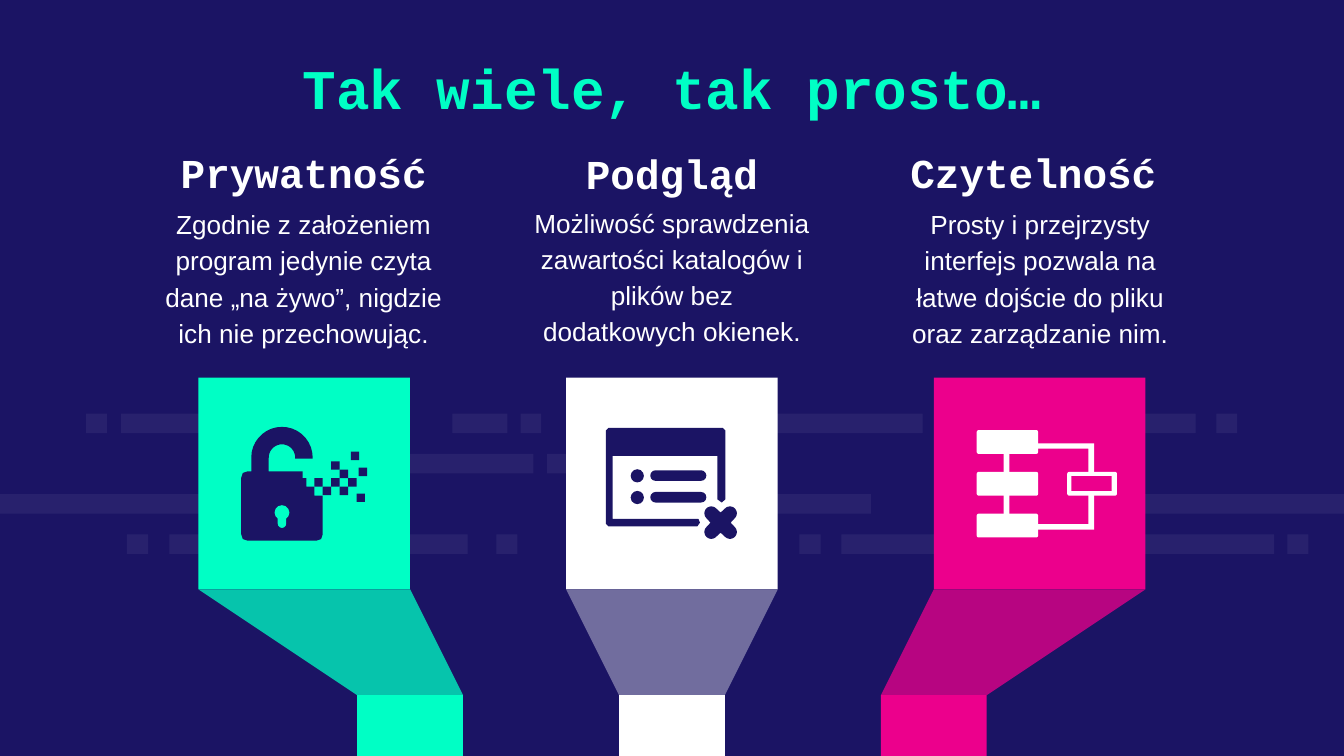
"""Build a slide that presents three program features above funnel-shaped cards."""
from math import cos, radians, sin

from lxml.etree import SubElement
from pptx import Presentation
from pptx.dml.color import RGBColor
from pptx.enum.shapes import MSO_SHAPE
from pptx.enum.text import MSO_ANCHOR, MSO_AUTO_SIZE, PP_ALIGN
from pptx.oxml.ns import qn
from pptx.util import Cm, Pt

NAVY, MINT, WHITE, PINK = "1B1464", "00FFC5", "FFFFFF", "EC008C"
RECT, ROUND, OVAL = MSO_SHAPE.RECTANGLE, MSO_SHAPE.ROUNDED_RECTANGLE, MSO_SHAPE.OVAL


def paint(target, color, alpha=100):
    target.fill.solid()
    target.fill.fore_color.rgb = RGBColor.from_string(color)
    if alpha < 100:
        tone = target.fill._xPr.find(f"{qn('a:solidFill')}/{qn('a:srgbClr')}")
        SubElement(tone, qn("a:alpha")).set("val", str(alpha * 1000))


def write(holder, text, *, box, size, font="Courier New", color=WHITE, bold=True,
          anchor=MSO_ANCHOR.TOP, top=0.25, bottom=0.25, spacing=1.0):
    holder.left, holder.top, holder.width, holder.height = map(Cm, box)
    frame = holder.text_frame
    frame.word_wrap = True
    frame.auto_size = MSO_AUTO_SIZE.NONE
    frame.vertical_anchor = anchor
    frame.margin_left = frame.margin_right = Cm(0.25)
    frame.margin_top, frame.margin_bottom = Cm(top), Cm(bottom)
    paragraph = frame.paragraphs[0]
    paragraph.alignment = PP_ALIGN.CENTER
    paragraph.line_spacing = spacing
    run = paragraph.add_run()
    run.text = text
    run.font.size, run.font.name, run.font.bold = Pt(size), font, bold
    paint(run.font, color)


prs = Presentation()
prs.slide_width, prs.slide_height = Cm(25.4), Cm(14.29)
slide = prs.slides.add_slide(prs.slide_layouts[5])
paint(slide.background, NAVY)

pieces = []

band_rows = [
    [(1.63, 0.39), (2.29, 3.71), (8.55, 1.04), (9.84, 0.39), (14.24, 3.2), (19.4, 3.2), (22.99, 0.39)],
    [(7.59, 2.49), (10.34, 1.02)],
    [(0, 3.76), (12.7, 3.76), (21.64, 3.76)],
    [(2.4, 0.4), (3.2, 5.64), (9.38, 0.4), (15.11, 0.4), (15.9, 8.18), (24.33, 0.4)],
]
for row, bands in enumerate(band_rows):
    for left, width in bands:
        pieces.append((RECT, (left, 7.82 + 0.76 * row, width, 0.37), WHITE, 6, None))

funnel_tints = [
    (MINT, [(MINT, 100), (NAVY, 25)]),
    (WHITE, [(WHITE, 38)]),
    (PINK, [(PINK, 100), (NAVY, 25)]),
]
for column, (color, tints) in enumerate(funnel_tints):
    card, stem = 3.75 + 6.95 * column, 6.75 + 4.95 * column
    funnel = [(card, 11.14), (card + 4, 11.14), (stem + 2, 13.14), (stem, 13.14)]
    for tint, alpha in tints:
        pieces.append((None, funnel, tint, alpha, None))
    pieces.append((RECT, (stem, 13.14, 2, 1.15), color, 100, None))
    pieces.append((RECT, (card, 7.14, 4, 4), color, 100, None))

turns = [radians(degrees) for degrees in range(180, -1, -10)]
shackle_outer = [(5.33 + 0.58 * cos(t), 8.65 - 0.58 * sin(t)) for t in turns]
shackle_inner = [(5.33 + 0.25 * cos(t), 8.65 - 0.25 * sin(t)) for t in reversed(turns)]
padlock = [
    (4.75, 8.91), *shackle_outer, (5.91, 8.67), (5.58, 8.67), *shackle_inner, (5.08, 8.91),
    (5.72, 8.91), (5.72, 9.04), (5.79, 9.04), (5.79, 9.2), (5.94, 9.2), (5.94, 9.37),
    (6.1, 9.37), (6.1, 10.1), (6.07, 10.19), (5.98, 10.22), (4.68, 10.22), (4.59, 10.19),
    (4.56, 10.1), (4.56, 9.03), (4.59, 8.94), (4.68, 8.91),
]
pieces += [
    (None, padlock, NAVY, 100, None),
    (OVAL, (5.19, 9.55, 0.28, 0.28), MINT, 100, None),
    (ROUND, (5.25, 9.7, 0.16, 0.28), MINT, 100, 0.5),
]
for left, top in [(6.1, 9.2), (6.42, 8.88), (6.26, 9.04), (6.26, 8.72), (5.94, 9.04),
                  (6.42, 9.2), (6.74, 9.33), (6.58, 9.04), (6.78, 8.84), (6.63, 8.54)]:
    pieces.append((RECT, (left, top, 0.16, 0.16), NAVY, 100, None))

window = [
    (11.45, 8.14), (11.5, 8.09), (13.66, 8.09), (13.71, 8.14), (13.71, 9.44), (13.64, 9.5),
    (13.56, 9.44), (13.56, 8.62), (11.58, 8.62), (11.58, 9.81), (13.2, 9.81), (13.23, 9.88),
    (13.18, 9.95), (11.5, 9.95), (11.45, 9.9),
]
cross = []
for corner in range(0, 360, 90):
    arm = radians(corner + 45)
    cross.append((13.62 + 0.19 * cos(radians(corner)), 9.88 + 0.19 * sin(radians(corner))))
    for degrees in range(-90, 91, 15):
        tip = arm + radians(degrees)
        cross.append((13.62 + 0.25 * cos(arm) + 0.13 * cos(tip),
                      9.88 + 0.25 * sin(arm) + 0.13 * sin(tip)))
pieces += [(None, window, NAVY, 100, None), (None, cross, NAVY, 100, None)]
for top in (8.87, 9.28):
    pieces.append((OVAL, (11.92, top, 0.25, 0.25), NAVY, 100, None))
    pieces.append((ROUND, (12.29, top + 0.02, 1.06, 0.2), NAVY, 100, 0.5))

bracket = [(19.61, 8.38), (20.68, 8.38), (20.68, 10.01), (19.61, 10.01),
           (19.61, 9.91), (20.57, 9.91), (20.57, 8.48), (19.61, 8.48)]
pieces += [
    (None, bracket, WHITE, 100, None),
    (RECT, (18.97, 8.3, 0.11, 1.7), WHITE, 100, None),
    (ROUND, (20.17, 8.92, 0.94, 0.45), WHITE, 100, 0.08),
    (RECT, (20.25, 9, 0.76, 0.28), PINK, 100, None),
]
for level in range(3):
    pieces.append((ROUND, (18.46, 8.13 + 0.79 * level, 1.16, 0.45), WHITE, 100, 0.08))

for preset, geometry, color, alpha, rounding in pieces:
    if preset is None:
        points = [(Cm(x), Cm(y)) for x, y in geometry]
        builder = slide.shapes.build_freeform(*points[0])
        builder.add_line_segments(points[1:])
        piece = builder.convert_to_shape()
    else:
        piece = slide.shapes.add_shape(preset, *map(Cm, geometry))
    if rounding is not None:
        piece.adjustments[0] = rounding
    paint(piece, color, alpha)
    piece.line.fill.background()
    piece.shadow.inherit = False

write(slide.shapes.title, "Tak wiele, tak prosto…", box=(3.56, 0.76, 18.29, 1.85),
      size=30, color=MINT)

features = [
    ("Prywatność", (2.87, 2.64),
     "Zgodnie z założeniem program jedynie czyta dane „na żywo”, nigdzie ich nie przechowując.",
     (2.87, 3.86)),
    ("Podgląd", (9.83, 2.67),
     "Możliwość sprawdzenia zawartości katalogów i plików bez dodatkowych okienek.",
     (9.83, 3.83)),
    ("Czytelność", (16.66, 2.64),
     "Prosty i przejrzysty interfejs pozwala na łatwe dojście do pliku oraz zarządzanie nim.",
     (16.79, 3.86)),
]
for heading, heading_spot, description, description_spot in features:
    write(slide.shapes.add_textbox(0, 0, 0, 0), heading, box=(*heading_spot, 5.74, 1.07),
          size=22, anchor=MSO_ANCHOR.BOTTOM, bottom=0)
    write(slide.shapes.add_textbox(0, 0, 0, 0), description, box=(*description_spot, 5.74, 2.8),
          size=14, font="Arial", bold=False, top=0, spacing=1.15)

prs.save("out.pptx")
